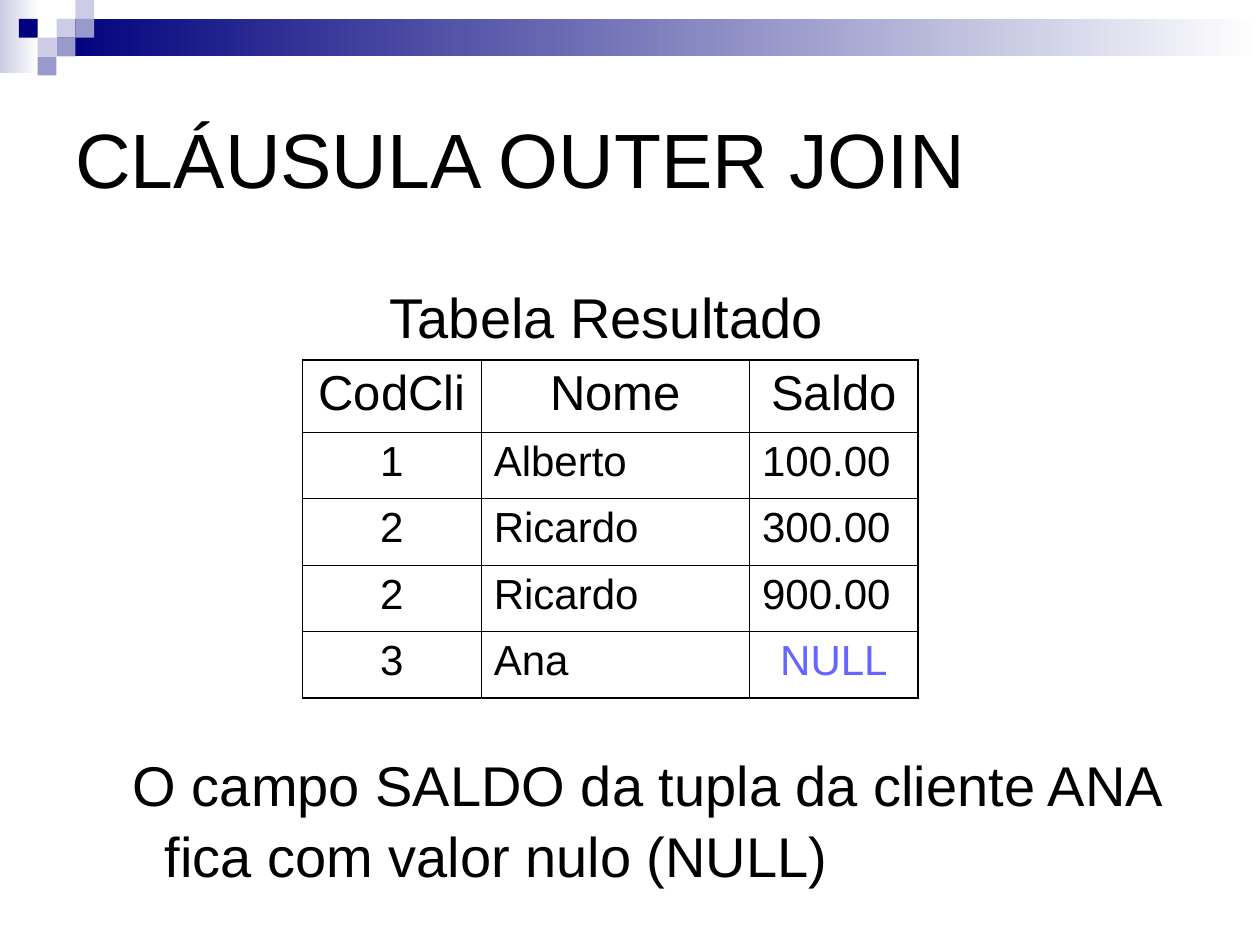
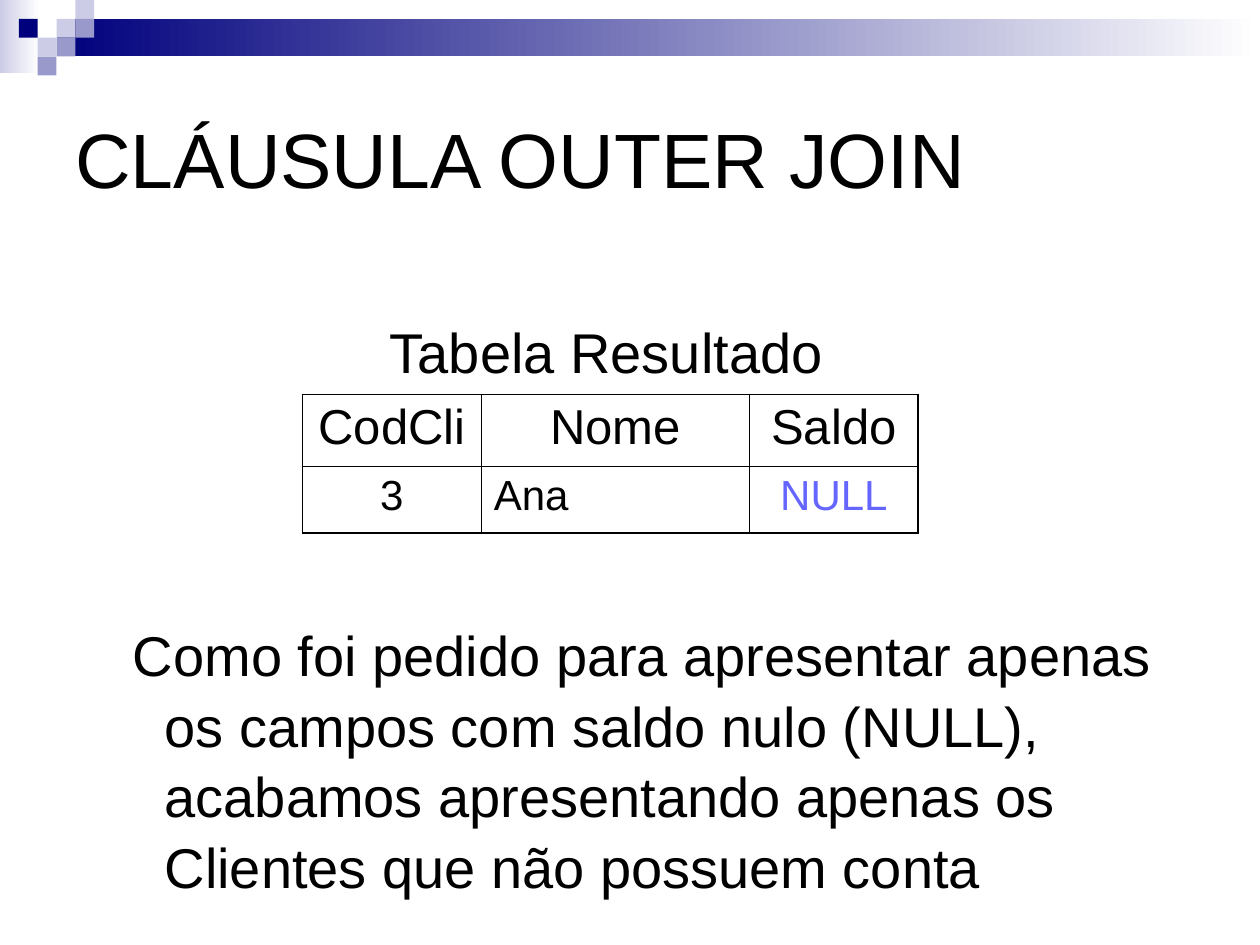
"""Builds two slides on the result tables of the OUTER JOIN clause."""
from lxml.etree import SubElement
from pptx import Presentation
from pptx.dml.color import RGBColor
from pptx.enum.shapes import MSO_SHAPE
from pptx.enum.text import MSO_ANCHOR, PP_ALIGN
from pptx.oxml.ns import qn
from pptx.util import Cm, Pt

TITLE = "CLÁUSULA OUTER JOIN"
CAPTION = "Tabela Resultado"
HEADER = ("CodCli", "Nome", "Saldo")
SLIDES = [
    {
        "rows": [
            ("1", "Alberto", "100.00"),
            ("2", "Ricardo", "300.00"),
            ("2", "Ricardo", "900.00"),
            ("3", "Ana", "NULL"),
        ],
        "caption_top": 5.51,
        "note": "O campo SALDO da tupla da cliente ANA fica com valor nulo (NULL)",
        "note_box": (14.94, 3.4),
    },
    {
        "rows": [("3", "Ana", "NULL")],
        "caption_top": 6.2,
        "note": "Como foi pedido para apresentar apenas os campos com saldo nulo (NULL), "
                "acabamos apresentando apenas os Clientes que não possuem conta",
        "note_box": (12.32, 5.8),
    },
]

FONT = "Arial"
BLACK = RGBColor(0x00, 0x00, 0x00)
WHITE = RGBColor(0xFF, 0xFF, 0xFF)
NAVY = RGBColor(0x00, 0x00, 0x7D)
LILAC = RGBColor(0x99, 0x99, 0xCC)
PALE = RGBColor(0xCC, 0xCC, 0xE6)
NULL_BLUE = RGBColor(0x65, 0x65, 0xFF)

WIDTH, HEIGHT = 25.4, 19.05
TILE = 0.38
TILES = [(3, 1, PALE), (4, 0, PALE), (4, 1, LILAC), (2, 2, PALE),
         (1, 1, NAVY), (3, 2, LILAC), (2, 3, LILAC)]
TABLE_LEFT = 6.1
COL_WIDTHS = (3.6, 5.41, 3.4)
HEADER_HEIGHT, ROW_HEIGHT = 1.45, 1.34
CAPTION_TO_TABLE = 1.75
OUTER, INNER = Pt(1.08), Pt(0.45)


def add_rect(slide, left, top, width, height, color, fade=False):
    sp = slide.shapes.add_shape(MSO_SHAPE.RECTANGLE, Cm(left), Cm(top), Cm(width), Cm(height))
    sp.shadow.inherit = False
    sp.line.fill.background()
    if fade:
        sp.fill.gradient()
        sp.fill.gradient_angle = 0
        for stop, stop_color in zip(sp.fill.gradient_stops, (color, WHITE)):
            stop.color.rgb = stop_color
    else:
        sp.fill.solid()
        sp.fill.fore_color.rgb = color


def add_band(slide):
    add_rect(slide, 0, 0, 0.79, 1.47, PALE, fade=True)
    add_rect(slide, 3 * TILE, TILE, WIDTH - 3 * TILE, 2 * TILE, NAVY, fade=True)
    for col, row, color in TILES:
        add_rect(slide, col * TILE, row * TILE, TILE, TILE, color)


def write(p, text, size, color=BLACK):
    r = p.add_run()
    r.text = text
    r.font.name, r.font.size, r.font.color.rgb = FONT, Pt(size), color


def add_text(slide, left, top, width, height, text, size, anchor=MSO_ANCHOR.TOP):
    tf = slide.shapes.add_textbox(Cm(left), Cm(top), Cm(width), Cm(height)).text_frame
    tf.word_wrap = True
    tf.vertical_anchor = anchor
    write(tf.paragraphs[0], text, size)
    return tf.paragraphs[0]


def add_hanging(slide, left, top, width, height, text):
    p = add_text(slide, left, top, width, height, text, 32)
    p.line_spacing = 1.05
    pPr = p._p.get_or_add_pPr()
    pPr.set("marL", str(Cm(0.96)))
    pPr.set("indent", str(Cm(-0.64)))


def set_borders(cell, widths):
    tcPr = cell._tc.get_or_add_tcPr()
    for i, (side, width) in enumerate(zip("LRTB", widths)):
        ln = SubElement(tcPr, qn(f"a:ln{side}"), w=str(width))
        SubElement(SubElement(ln, qn("a:solidFill")), qn("a:srgbClr"), val=str(BLACK))
        tcPr.insert(i, ln)


def add_result_table(slide, top, rows):
    data = [HEADER, *rows]
    heights = [HEADER_HEIGHT] + [ROW_HEIGHT] * len(rows)
    last_row, last_col = len(data) - 1, len(HEADER) - 1
    table = slide.shapes.add_table(len(data), len(HEADER), Cm(TABLE_LEFT), Cm(top),
                                   Cm(sum(COL_WIDTHS)), Cm(sum(heights))).table
    table.first_row = table.horz_banding = False
    for col, width in zip(table.columns, COL_WIDTHS):
        col.width = Cm(width)
    for i, (values, height) in enumerate(zip(data, heights)):
        table.rows[i].height = Cm(height)
        for j, text in enumerate(values):
            cell = table.cell(i, j)
            cell.fill.background()
            edges = (j == 0, j == last_col, i == 0, i == last_row)
            set_borders(cell, [OUTER if edge else INNER for edge in edges])
            p = cell.text_frame.paragraphs[0]
            is_null = text == "NULL"
            centred = i == 0 or j == 0 or is_null
            p.alignment = PP_ALIGN.CENTER if centred else PP_ALIGN.LEFT
            write(p, text, 28 if i == 0 else 24, NULL_BLUE if is_null else BLACK)


def main():
    prs = Presentation()
    prs.slide_width, prs.slide_height = Cm(WIDTH), Cm(HEIGHT)
    for content in SLIDES:
        slide = prs.slides.add_slide(prs.slide_layouts[6])
        add_band(slide)
        add_text(slide, 1.27, 1.27, 22.86, 3.81, TITLE, 44, MSO_ANCHOR.MIDDLE)
        caption_top = content["caption_top"]
        add_hanging(slide, 7.29, caption_top, 11.02, 1.63, CAPTION)
        add_result_table(slide, caption_top + CAPTION_TO_TABLE, content["rows"])
        note_top, note_height = content["note_box"]
        add_hanging(slide, 2.11, note_top, 21.79, note_height, content["note"])
    prs.save("out.pptx")


if __name__ == "__main__":
    main()
